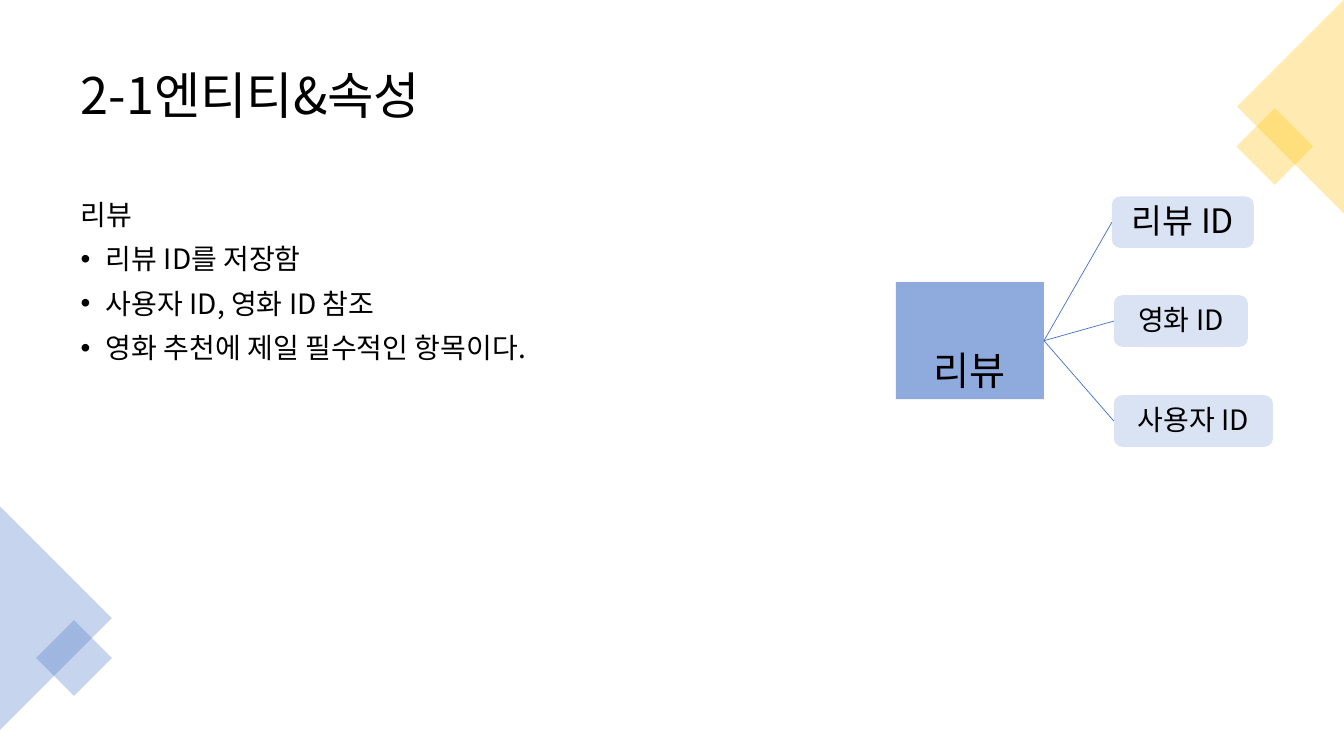
from lxml import etree
from pptx import Presentation
from pptx.dml.color import RGBColor
from pptx.enum.shapes import MSO_CONNECTOR, MSO_SHAPE
from pptx.enum.text import MSO_ANCHOR, PP_ALIGN
from pptx.oxml.ns import qn
from pptx.util import Cm, Pt

RECTANGLE = MSO_SHAPE.RECTANGLE
ROUNDED = MSO_SHAPE.ROUNDED_RECTANGLE
TRIANGLE = MSO_SHAPE.ISOSCELES_TRIANGLE
STRAIGHT = MSO_CONNECTOR.STRAIGHT
TOP, MIDDLE, BOTTOM = MSO_ANCHOR.TOP, MSO_ANCHOR.MIDDLE, MSO_ANCHOR.BOTTOM
LEFT, CENTER = PP_ALIGN.LEFT, PP_ALIGN.CENTER
FONT = "Noto Sans CJK KR"
COLORS = {
    "text": "000000",
    "yellow": "FFC000",
    "blue": "4472C4",
    "entity": "8FAADC",
    "attribute": "DAE3F3",
}


def write(box, lines, size, anchor, align, before=0, after=0, bulleted=False):
    frame = box.text_frame
    frame.word_wrap = True
    frame.vertical_anchor = anchor
    for index, line in enumerate(lines):
        para = frame.paragraphs[0] if index == 0 else frame.add_paragraph()
        layout = {
            "alignment": align,
            "line_spacing": 0.9,
            "space_before": Pt(before if index else 0),
            "space_after": Pt(after),
        }
        for name, value in layout.items():
            setattr(para, name, value)
        if bulleted and index:
            properties = para._p.get_or_add_pPr()
            properties.set("marL", str(Cm(0.64)))
            properties.set("indent", str(-Cm(0.64)))
            etree.SubElement(properties, qn("a:buFont")).set("typeface", "Arial")
            etree.SubElement(properties, qn("a:buChar")).set("char", "•")
        span = para.add_run()
        span.text = line
        span.font.name = FONT
        span.font.size = Pt(size)
        span.font.color.rgb = RGBColor.from_string(COLORS["text"])
        etree.SubElement(span._r.get_or_add_rPr(), qn("a:ea")).set("typeface", FONT)


def add_filled(page, kind, place, color):
    shape = page.shapes.add_shape(kind, *[Cm(value) for value in place])
    shape.shadow.inherit = False
    shape.fill.solid()
    shape.fill.fore_color.rgb = RGBColor.from_string(COLORS[color])
    shape.line.fill.background()
    return shape


deck = Presentation()
deck.slide_width, deck.slide_height = Cm(33.87), Cm(19.05)
page = deck.slides.add_slide(deck.slide_layouts[5])

decorations = [
    (RECTANGLE, (31.44, 3.01, 1.37, 1.37), 45, "yellow"),
    (TRIANGLE, (29.83, 1.34, 5.38, 2.69), 270, "yellow"),
    (TRIANGLE, (-1.4, 14.17, 5.62, 2.81), 90, "blue"),
    (RECTANGLE, (1.19, 15.91, 1.35, 1.35), 45, "blue"),
]
for kind, place, rotation, color in decorations:
    decoration = add_filled(page, kind, place, color)
    decoration.rotation = rotation
    fill_color = decoration._element.spPr.find(".//" + qn("a:srgbClr"))
    etree.SubElement(fill_color, qn("a:alpha")).set("val", "30000")

title = page.shapes.title
title.left, title.top, title.width, title.height = Cm(1.78), Cm(0.89), Cm(30.3), Cm(3.15)
write(title, ["2-1엔티티&속성"], 36, MIDDLE, LEFT)

body = page.shapes.add_textbox(Cm(1.78), Cm(4.95), Cm(19), Cm(12.22))
body_lines = [
    "리뷰",
    "리뷰 ID를 저장함",
    "사용자 ID, 영화 ID 참조",
    "영화 추천에 제일 필수적인 항목이다.",
]
write(body, body_lines, 20, TOP, LEFT, before=10, bulleted=True)

entity = add_filled(page, RECTANGLE, (22.58, 7.11, 3.73, 2.95), "entity")
write(entity, ["리뷰"], 28, BOTTOM, CENTER, after=6)

attributes = [
    ("리뷰 ID", 28.02, 4.95, 3.58, 24),
    ("영화 ID", 28.07, 7.44, 3.38, 20),
    ("사용자 ID", 28.07, 9.96, 4.01, 20),
]
for label, left, top, width, size in attributes:
    attribute = add_filled(page, ROUNDED, (left, top, width, 1.3), "attribute")
    write(attribute, [label], size, MIDDLE, CENTER, after=6)
    link = page.shapes.add_connector(STRAIGHT, 0, 0, 0, 0)
    link.begin_connect(entity, 3)
    link.end_connect(attribute, 1)
    link.line.color.rgb = RGBColor.from_string(COLORS["blue"])
    link.line.width = Pt(0.5)
    etree.SubElement(link._element.spPr, qn("a:effectLst"))

deck.save("out.pptx")
